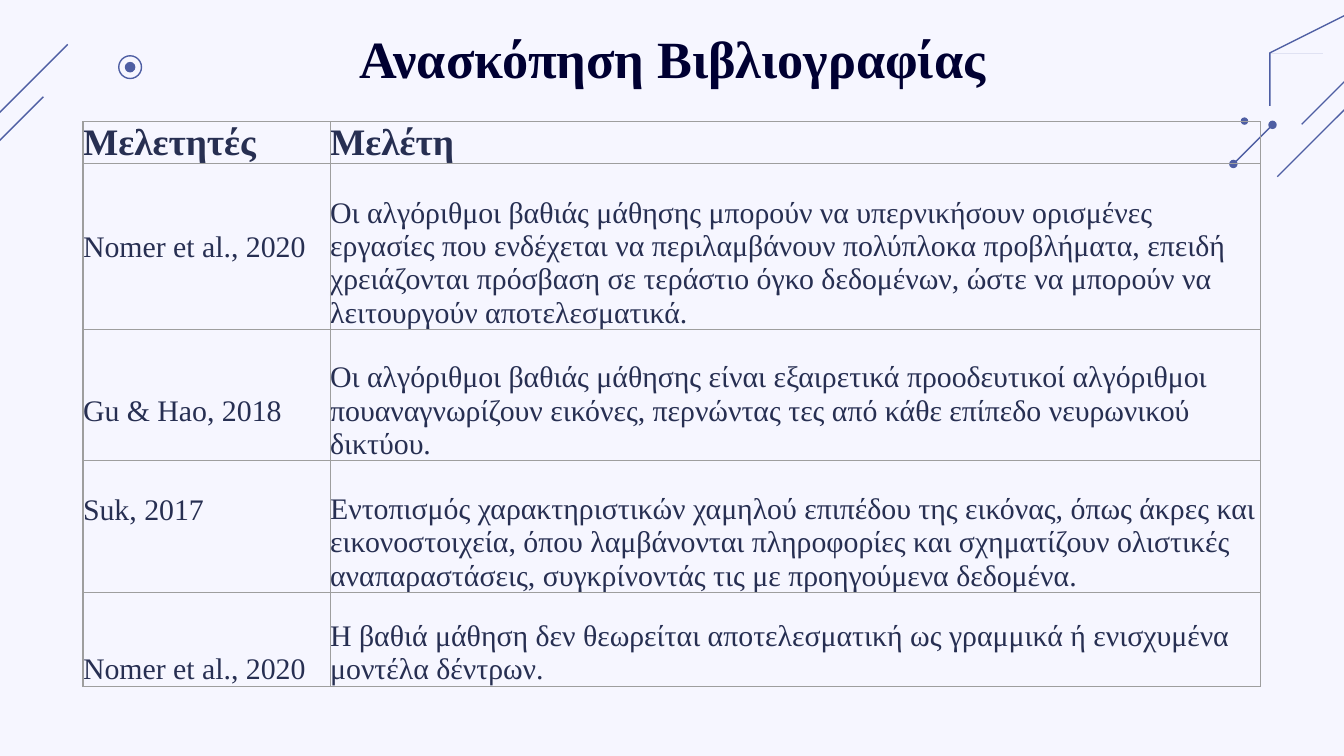
"""Build a literature review slide with a table and line ornaments."""
from dataclasses import dataclass

from lxml.etree import SubElement
from pptx import Presentation
from pptx.dml.color import RGBColor
from pptx.enum.shapes import MSO_CONNECTOR, MSO_SHAPE
from pptx.enum.text import MSO_ANCHOR, MSO_AUTO_SIZE, PP_ALIGN
from pptx.oxml.ns import qn
from pptx.slide import Slide
from pptx.table import _Cell
from pptx.text.text import TextFrame
from pptx.util import Cm, Pt

BLUE, INK, NAVY, GREY, PALE = "4E5EA3", "272F52", "000032", "9E9E9E", "F6F6FF"
FONT = "Times New Roman"
THIN = Pt(0.75)
LINE = 0.62


@dataclass
class Slant:
    right: float
    top: float
    span: float


@dataclass
class Dot:
    x: float
    y: float
    size: float
    solid: bool = True


@dataclass
class Trace:
    points: list[tuple[float, float]]
    solid: bool = False


@dataclass
class Study:
    author: str
    text: str
    height: float
    lift: int = 0
    size: int = 16
    bold: bool = False


SLANTS = [
    Slant(26.11, 0.84, 1.51),
    Slant(25.65, 1.83, 1.51),
    Slant(24.05, 2.36, 0.75),
    Slant(1.28, 0.84, 1.51),
    Slant(0.82, 1.83, 1.51),
]
DOTS = [
    Dot(24.05, 2.36, 0.16),
    Dot(23.31, 3.1, 0.16),
    Dot(23.52, 2.29, 0.14),
    Dot(2.46, 1.27, 0.43, False),
    Dot(2.46, 1.27, 0.2),
]
TRACES = [
    Trace([(23.52, 2.29), (24.18, 1.64), (24.18, 1), (25.6, -0.42)]),
    Trace([(24.25, 0.94), (24.62, 0.56), (24.53, 0.56), (24.25, 0.84)], True),
]
STUDIES = [
    Study("Μελετητές", "Μελέτη", 0.79, size=20, bold=True),
    Study("Nomer et al., 2020",
          "Οι αλγόριθμοι βαθιάς μάθησης μπορούν να υπερνικήσουν ορισμένες "
          "εργασίες που ενδέχεται να περιλαμβάνουν πολύπλοκα προβλήματα, επειδή "
          "χρειάζονται πρόσβαση σε τεράστιο όγκο δεδομένων, ώστε να μπορούν να "
          "λειτουργούν αποτελεσματικά.", 3.14, lift=2),
    Study("Gu & Hao, 2018",
          "Οι αλγόριθμοι βαθιάς μάθησης είναι εξαιρετικά προοδευτικοί αλγόριθμοι "
          "πουαναγνωρίζουν εικόνες, περνώντας τες από κάθε επίπεδο νευρωνικού "
          "δικτύου.", 2.48, lift=1),
    Study("Suk, 2017",
          "Εντοπισμός χαρακτηριστικών χαμηλού επιπέδου της εικόνας, όπως άκρες και "
          "εικονοστοιχεία, όπου λαμβάνονται πληροφορίες και σχηματίζουν ολιστικές "
          "αναπαραστάσεις, συγκρίνοντάς τις με προηγούμενα δεδομένα.", 2.49, lift=2),
    Study("Nomer et al., 2020",
          "Η βαθιά μάθηση δεν θεωρείται αποτελεσματική ως γραμμικά ή ενισχυμένα "
          "μοντέλα δέντρων.", 1.77),
]


def tint(code: str) -> RGBColor:
    return RGBColor.from_string(code)


def write(frame: TextFrame, text: str, *, size: int, color: str = INK,
          bold: bool = False, align: PP_ALIGN = PP_ALIGN.LEFT) -> None:
    frame.word_wrap = True
    para = frame.paragraphs[0]
    para.alignment = align
    run = para.add_run()
    run.text = text
    font = run.font
    font.name, font.size, font.bold = FONT, Pt(size), bold
    font.color.rgb = tint(color)


def paint(shape, solid: bool) -> None:
    shape.shadow.inherit = False
    if solid:
        shape.fill.solid()
        shape.fill.fore_color.rgb = tint(BLUE)
        shape.line.fill.background()
    else:
        shape.fill.background()
        shape.line.color.rgb = tint(BLUE)
        shape.line.width = THIN


def draw_slant(slide: Slide, slant: Slant) -> None:
    line = slide.shapes.add_connector(
        MSO_CONNECTOR.STRAIGHT, Cm(slant.right), Cm(slant.top),
        Cm(slant.right - slant.span), Cm(slant.top + slant.span))
    line.line.color.rgb = tint(BLUE)
    line.line.width = THIN
    SubElement(line._element.spPr, qn("a:effectLst"))


def draw_dot(slide: Slide, dot: Dot) -> None:
    half = dot.size / 2
    shape = slide.shapes.add_shape(
        MSO_SHAPE.OVAL, Cm(dot.x - half), Cm(dot.y - half), Cm(dot.size), Cm(dot.size))
    paint(shape, dot.solid)


def draw_trace(slide: Slide, trace: Trace) -> None:
    first, *rest = trace.points
    pen = slide.shapes.build_freeform(*first, scale=Cm(1))
    pen.add_line_segments(rest, close=trace.solid)
    paint(pen.convert_to_shape(), trace.solid)


def edge(cell: _Cell) -> None:
    props = cell._tc.get_or_add_tcPr()
    for side in ("lnL", "lnR", "lnT", "lnB"):
        line = SubElement(props, qn(f"a:{side}"), w=str(THIN))
        fill = SubElement(line, qn("a:solidFill"))
        SubElement(fill, qn("a:srgbClr"), val=GREY)


def draw_table(slide: Slide, studies: list[Study]) -> None:
    total = sum(study.height for study in studies)
    table = slide.shapes.add_table(
        len(studies), 2, Cm(1.57), Cm(2.3), Cm(22.25), Cm(total)).table
    table.first_row = table.horz_banding = False
    for col, width in zip(table.columns, (4.67, 17.58)):
        col.width = Cm(width)
    for row, study in zip(table.rows, studies):
        row.height = Cm(study.height)
        pairs = ((study.author, study.lift), (study.text, 0))
        for cell, (text, lift) in zip(row.cells, pairs):
            edge(cell)
            cell.fill.background()
            cell.margin_left = cell.margin_right = cell.margin_top = 0
            cell.margin_bottom = Cm(lift * LINE)
            cell.vertical_anchor = MSO_ANCHOR.BOTTOM
            write(cell.text_frame, text, size=study.size, bold=study.bold)


def draw_title(slide: Slide, text: str) -> None:
    title = slide.shapes.title
    title.left, title.top, title.width, title.height = Cm(2.18), Cm(0.43), Cm(21.06), Cm(1.45)
    frame = title.text_frame
    frame.auto_size = MSO_AUTO_SIZE.NONE
    frame.vertical_anchor = MSO_ANCHOR.MIDDLE
    frame.margin_top = frame.margin_bottom = 0
    frame.paragraphs[0].line_spacing = 0.9
    write(frame, text, size=28, color=NAVY, bold=True, align=PP_ALIGN.CENTER)


def main() -> None:
    deck = Presentation()
    deck.slide_width, deck.slide_height = Cm(25.4), Cm(14.29)
    slide = deck.slides.add_slide(deck.slide_layouts[5])
    back = slide.background.fill
    back.solid()
    back.fore_color.rgb = tint(PALE)
    for slant in SLANTS:
        draw_slant(slide, slant)
    for dot in DOTS:
        draw_dot(slide, dot)
    for trace in TRACES:
        draw_trace(slide, trace)
    draw_title(slide, "Ανασκόπηση Βιβλιογραφίας")
    draw_table(slide, STUDIES)
    deck.save("out.pptx")


if __name__ == "__main__":
    main()
